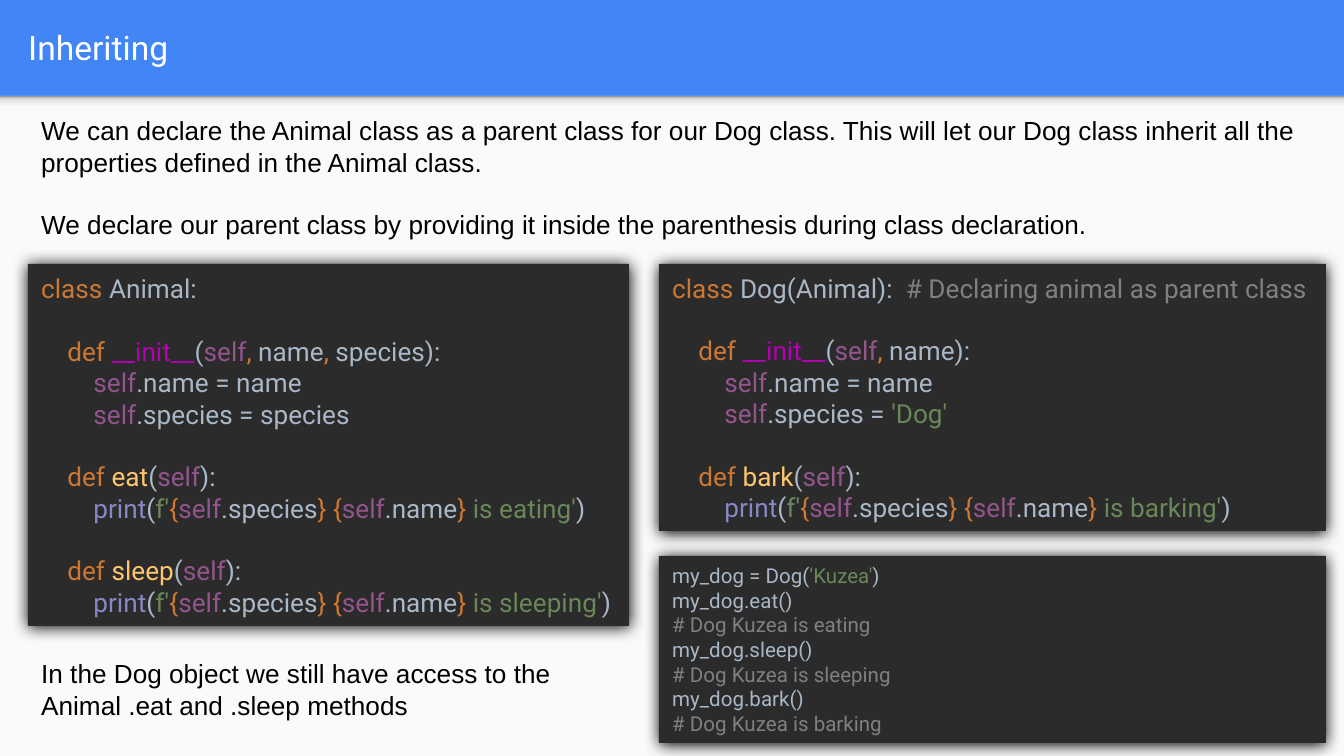
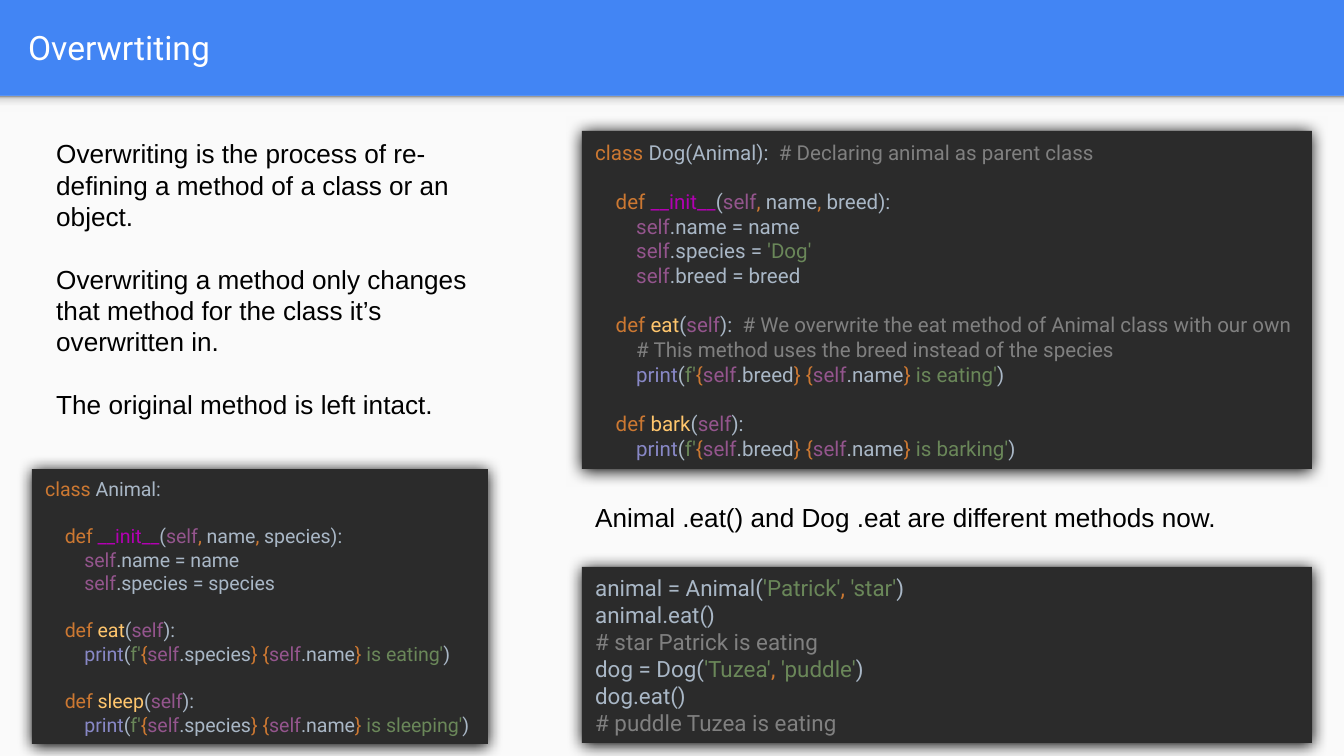
from lxml.etree import SubElement
from pptx import Presentation
from pptx.dml.color import RGBColor
from pptx.enum.shapes import MSO_SHAPE
from pptx.enum.text import MSO_ANCHOR, MSO_AUTO_SIZE, PP_ALIGN
from pptx.oxml.ns import qn
from pptx.util import Emu, Pt

SCALE = 914400 / 134.4
WIDE, HIGH = 1344, 756
BAND = 96
LEAD = 1.2

BLUE = RGBColor(0x42, 0x85, 0xF4)
PAPER = RGBColor(0xFA, 0xFA, 0xFA)
DARK = RGBColor(0x2B, 0x2B, 0x2B)
WHITE = RGBColor(0xFF, 0xFF, 0xFF)
BLACK = RGBColor(0x00, 0x00, 0x00)
PLAIN = RGBColor(0xA9, 0xB7, 0xC6)
FADE = ((0, "F9F9F9"), (36, "F9F9F9"), (80, "DEDEDE"), (100, "999999"))

# Code colours; "~k" in a line starts a run in the colour of key k.
TINTS = {
    "n": PLAIN,
    "k": RGBColor(0xCC, 0x78, 0x32),
    "m": RGBColor(0xB2, 0x00, 0xB2),
    "s": RGBColor(0x94, 0x55, 0x8D),
    "f": RGBColor(0xFF, 0xC6, 0x6D),
    "p": RGBColor(0x88, 0x88, 0xC6),
    "g": RGBColor(0x6A, 0x87, 0x59),
    "c": RGBColor(0x80, 0x80, 0x80),
}


def px(count):
    """Turn picture pixels into EMU."""
    return Emu(round(count * SCALE))


def define(name, *args, note=""):
    """Give the marked-up first line of a method."""
    key = "m" if name.startswith("__") else "f"
    rest = "".join(f"~k, ~n{arg}" for arg in args)
    return f"    ~kdef ~{key}{name}~n(~sself{rest}~n):{note}"


def assign(field, value):
    """Give a line that sets a field of self."""
    return f"        ~sself~n.{field} = {value}"


def report(field, act):
    """Give a line that prints what the animal does."""
    return (f"        ~pprint~n(~gf'~k{{~sself~n.{field}~k}} "
            f"{{~sself~n.name~k}}~g is {act}'~n)")


DOG_HEAD = "~kclass ~nDog(Animal):  ~c# Declaring animal as parent class"

ANIMAL = [
    "~kclass ~nAnimal:",
    "",
    define("__init__", "name", "species"),
    assign("name", "name"),
    assign("species", "species"),
    "",
    define("eat"),
    report("species", "eating"),
    "",
    define("sleep"),
    report("species", "sleeping"),
]

DOG = [
    DOG_HEAD,
    "",
    define("__init__", "name"),
    assign("name", "name"),
    assign("species", "~g'Dog'"),
    "",
    define("bark"),
    report("species", "barking"),
]

BREED = [
    DOG_HEAD,
    "",
    define("__init__", "name", "breed"),
    assign("name", "name"),
    assign("species", "~g'Dog'"),
    assign("breed", "breed"),
    "",
    define("eat", note="  ~c# We overwrite the eat method of Animal class "
                       "with our own"),
    "        ~c# This method uses the breed instead of the species",
    report("breed", "eating"),
    "",
    define("bark"),
    report("breed", "barking"),
]

DOG_RUN = [
    "my_dog = Dog(~g'Kuzea'~n)",
    "my_dog.eat()",
    "~c# Dog Kuzea is eating",
    "my_dog.sleep()",
    "~c# Dog Kuzea is sleeping",
    "my_dog.bark()",
    "~c# Dog Kuzea is barking",
]

BOTH_RUN = [
    "animal = Animal(~g'Patrick'~k, ~g'star'~n)",
    "animal.eat()",
    "~c# star Patrick is eating",
    "dog = Dog(~g'Tuzea'~k, ~g'puddle'~n)",
    "dog.eat()",
    "~c# puddle Tuzea is eating",
]


def write(shape, lines, size=14, font="Arial", color=BLACK,
          anchor=MSO_ANCHOR.TOP, grow=True, wrap=True):
    """Fill a shape with lines; an empty line becomes space before the next."""
    frame = shape.text_frame
    frame.word_wrap = wrap
    frame.vertical_anchor = anchor
    frame.auto_size = (MSO_AUTO_SIZE.SHAPE_TO_FIT_TEXT if grow
                       else MSO_AUTO_SIZE.NONE)
    para, gap = None, False
    for line in lines:
        if not line:
            gap = True
            continue
        para = frame.add_paragraph() if para else frame.paragraphs[0]
        para.alignment = PP_ALIGN.LEFT
        para.line_spacing = Pt(LEAD * size)
        para.space_before = Pt(LEAD * size if gap else 0)
        gap = False
        body = line.lstrip()
        level = (len(line) - len(body)) // 4
        if level:
            props = para._p.get_or_add_pPr()
            props.set("marL", str(Pt(level * size)))
            props.set("indent", "0")
        first, *parts = body.split("~")
        runs = [(first, color)] + [(p[1:], TINTS[p[0]]) for p in parts]
        for text, tint in runs:
            if text:
                run = para.add_run()
                run.text = text
                run.font.size = Pt(size)
                run.font.name = font
                run.font.color.rgb = tint


def block(slide, left, top, width, height, fill):
    """Add a rectangle with no line and no shadow."""
    shape = slide.shapes.add_shape(MSO_SHAPE.RECTANGLE, px(left), px(top),
                                   px(width), px(height))
    shape.shadow.inherit = False
    shape.line.fill.background()
    shape.fill.solid()
    shape.fill.fore_color.rgb = fill
    return shape


def label(slide, left, top, width, height, lines, **style):
    """Add a text box."""
    box = slide.shapes.add_textbox(px(left), px(top), px(width), px(height))
    write(box, lines, **style)
    return box


def code(slide, left, top, width, height, lines, size, wrap=False):
    """Add a dark code panel with a soft black shadow."""
    shape = block(slide, left, top, width, height, DARK)
    effects = shape._element.spPr.find(qn("a:effectLst"))
    shade = SubElement(effects, qn("a:outerShdw"), blurRad=str(Pt(8.5)),
                       dist=str(Pt(1)), dir="5400000", algn="ctr",
                       rotWithShape="0")
    SubElement(shade, qn("a:srgbClr"), val="000000")
    write(shape, lines, size=size, font="Roboto", color=PLAIN,
          anchor=MSO_ANCHOR.MIDDLE, wrap=wrap)


def blend(shape):
    """Give a shape the grey fade that lies under the title band."""
    shape.fill.gradient()
    shape.fill.gradient_angle = 90
    stops = shape._element.spPr.find(qn("a:gradFill")).find(qn("a:gsLst"))
    for stop in list(stops):
        stops.remove(stop)
    for place, tint in FADE:
        stop = SubElement(stops, qn("a:gs"), pos=str(place * 1000))
        SubElement(stop, qn("a:srgbClr"), val=tint)


def start(deck, title):
    """Add a slide with the blue band, the paper and the title."""
    slide = deck.slides.add_slide(deck.slide_layouts[6])
    slide.background.fill.solid()
    slide.background.fill.fore_color.rgb = BLUE
    block(slide, 0, BAND, WIDE, HIGH - BAND, PAPER)
    blend(block(slide, 0, BAND, WIDE, 16, PAPER))
    box = label(slide, 15, 3, 1297, 89, [title], size=18, font="Roboto",
                color=WHITE, anchor=MSO_ANCHOR.MIDDLE, grow=False)
    box.text_frame.margin_top = box.text_frame.margin_bottom = px(13)
    return slide


def inherit(deck):
    """Build the slide on inheriting."""
    slide = start(deck, "Inheriting")
    code(slide, 28, 264, 601, 362, ANIMAL, 14)
    code(slide, 659, 264, 667, 267, DOG, 14)
    code(slide, 659, 556, 667, 187, DOG_RUN, 11, wrap=True)
    label(slide, 28, 108, 1284, 140, [
        "We can declare the Animal class as a parent class for our Dog class. "
        "This will let our Dog class inherit all the properties defined in "
        "the Animal class.",
        "",
        "We declare our parent class by providing it inside the parenthesis "
        "during class declaration.",
    ])
    label(slide, 28, 651, 601, 77, [
        "In the Dog object we still have access to the Animal .eat and "
        ".sleep methods",
    ])


def override(deck):
    """Build the slide on overwriting."""
    slide = start(deck, "Overwrtiting")
    code(slide, 32, 469, 456, 275, ANIMAL, 10.5)
    code(slide, 582, 131, 730, 338, BREED, 11)
    code(slide, 582, 567, 730, 176, BOTH_RUN, 12, wrap=True)
    label(slide, 43, 131, 445, 298, [
        "Overwriting is the process of re-defining a method of a class or "
        "an object.",
        "",
        "Overwriting a method only changes that method for the class it’s "
        "overwritten in.",
        "",
        "The original method is left intact.",
    ])
    label(slide, 582, 495, 719, 45, [
        "Animal .eat() and Dog .eat are different methods now.",
    ])


def main():
    """Build and save the deck."""
    deck = Presentation()
    deck.slide_width, deck.slide_height = px(WIDE), px(HIGH)
    inherit(deck)
    override(deck)
    deck.save("out.pptx")


main()
